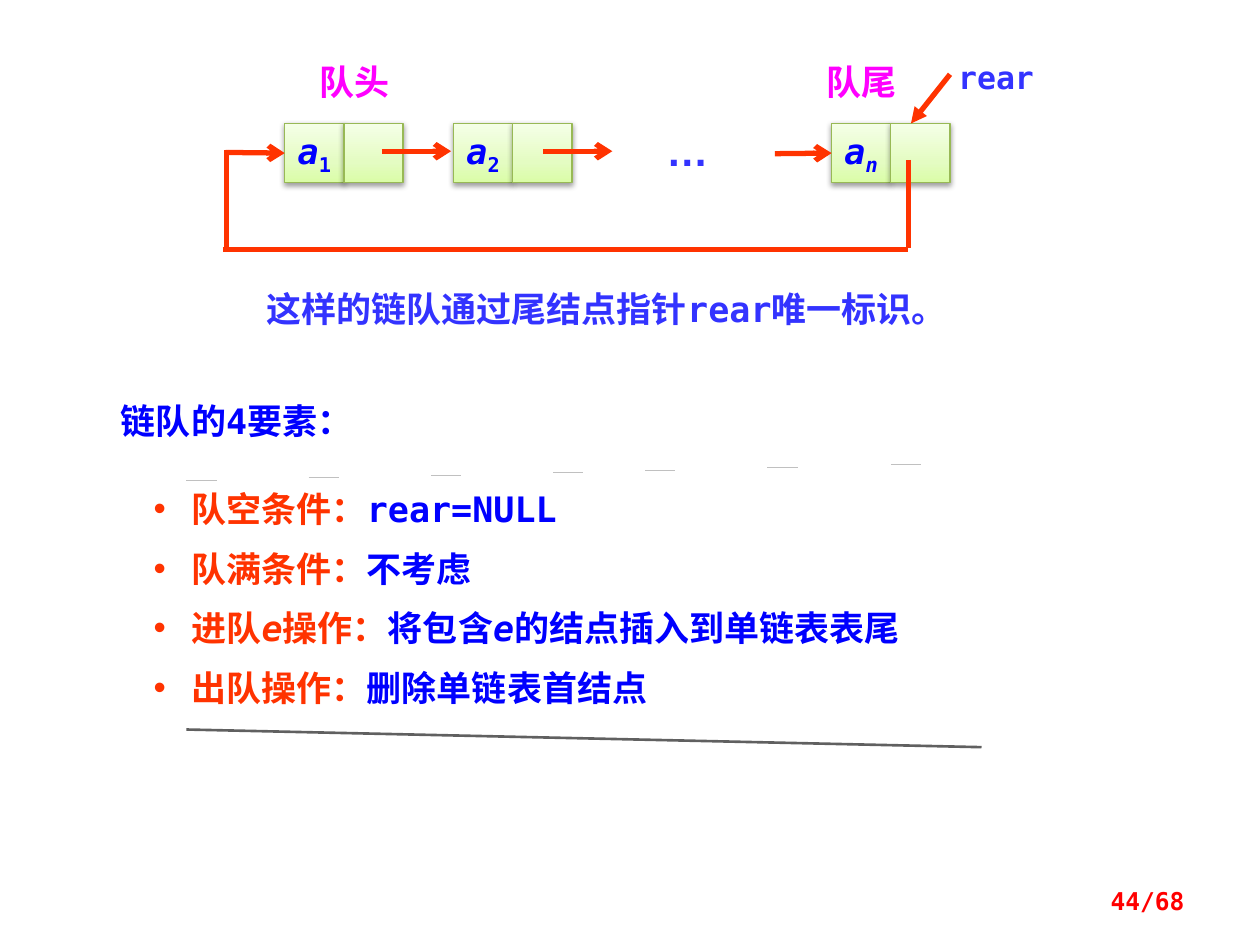
import copy
from dataclasses import dataclass

from lxml import etree
from pptx import Presentation
from pptx import util as u
from pptx.dml.color import RGBColor
from pptx.enum import shapes, text
from pptx.oxml import parse_xml
from pptx.oxml.ns import nsdecls, qn

MONO, CJK = "DejaVu Sans Mono", "Noto Sans CJK SC"
BLUE, VIOLET, RED, MAGENTA = "0000FF", "3333FF", "FF3300", "FF00FF"
CELL = 0.47
CELL_TOP = 0.98
ALIGN, ANCHOR = text.PP_ALIGN, text.MSO_ANCHOR


@dataclass
class Run:
    text: str
    color: str = BLUE
    italic: bool = False
    subscript: bool = False
    size: float = 20
    font: str = MONO


@dataclass
class Label:
    box: tuple[float, float, float, float]
    run: Run
    align: ALIGN = ALIGN.CENTER
    anchor: ANCHOR = ANCHOR.TOP


@dataclass
class Line:
    start: tuple[float, float]
    end: tuple[float, float]
    head: str = ""
    color: str = RED
    width: float = 3
    target: int | None = None  # index of the node whose left side it meets


LABELS = [
    Label((7.47, 0.41, 0.87, 0.4), Run("rear", VIOLET, size=18)),
    Label((5.02, 0.94, 0.87, 0.5), Run("…", VIOLET, size=24, font="Arial")),
    Label((2.34, 0.43, 0.95, 0.44), Run("队头", MAGENTA, font=CJK)),
    Label((6.36, 0.43, 0.95, 0.44), Run("队尾", MAGENTA, font=CJK)),
    Label((1.27, 2.23, 7.09, 0.44), Run("这样的链队通过尾结点指针rear唯一标识。", VIOLET)),
    Label((7.17, 6.95, 2.33, 0.4), Run("44/68", "FF0000", size=14), ALIGN.RIGHT, ANCHOR.MIDDLE),
]
NODES = [
    (2.26, Run("1", subscript=True)),
    (3.6, Run("2", subscript=True)),
    (6.6, Run("n", italic=True, subscript=True)),
]
LINKS = [
    Line((6.15, 1.22), (6.6, 1.22), "arrow", target=2),
    Line((3.03, 1.2), (3.58, 1.2), "arrow"),
    Line((4.31, 1.2), (4.86, 1.2), "arrow"),
    Line((7.21, 1.27), (7.21, 1.97)),
    Line((1.77, 1.98), (7.21, 1.98)),
    Line((1.8, 1.19), (1.8, 1.99)),
    Line((1.79, 1.21), (2.26, 1.21), "arrow", target=0),
    Line((7.54, 0.59), (7.23, 0.98), "triangle"),
]
BULLETS = [
    [Run("队空条件：", RED), Run("rear=NULL")],
    [Run("队满条件：", RED), Run("不考虑")],
    [Run("进队", RED), Run("e", RED, italic=True), Run("操作：", RED),
     Run("将包含"), Run("e", italic=True), Run("的结点插入到单链表表尾")],
    [Run("出队操作：", RED), Run("删除单链表首结点")],
]


def rgb(value: str) -> RGBColor:
    return RGBColor.from_string(value)


def place(shape, box: tuple[float, float, float, float]) -> None:
    shape.left, shape.top, shape.width, shape.height = map(u.Inches, box)


def write(paragraph, runs: list[Run]) -> None:
    for item in runs:
        run = paragraph.add_run()
        run.text = item.text
        font = run.font
        font.name, font.size = item.font, u.Pt(item.size)
        font.bold, font.italic = True, item.italic
        font.color.rgb = rgb(item.color)
        properties = run._r.get_or_add_rPr()
        if item.subscript:
            properties.set("baseline", "-25000")
        east_asian = etree.SubElement(properties, qn("a:ea"))
        east_asian.set("typeface", MONO)


def add_label(slide, label: Label) -> None:
    shape = slide.shapes.add_textbox(*map(u.Inches, label.box))
    frame = shape.text_frame
    frame.word_wrap = True
    frame.vertical_anchor = label.anchor
    frame.paragraphs[0].alignment = label.align
    write(frame.paragraphs[0], [label.run])


def add_cell(slide, left: float, runs: list[Run]):
    """Draw one green gradient cell with a soft shadow below it."""
    shape = slide.shapes.add_shape(
        shapes.MSO_SHAPE.RECTANGLE, *map(u.Inches, (left, CELL_TOP, CELL, CELL)))
    fill = shape.fill
    fill.gradient()
    fill.gradient_angle = 90
    first = shape._element.spPr.find(".//" + qn("a:gs"))
    first.addnext(copy.deepcopy(first))
    stops = [(0, "DAFDA7"), (0.35, "E4FCC2"), (1, "F5FFE7")]
    for stop, (position, color) in zip(fill.gradient_stops, stops):
        stop.position, stop.color.rgb = position, rgb(color)
    shape.line.color.rgb = rgb("98B955")
    shape.line.width = u.Pt(0.75)
    shape._element.spPr.append(parse_xml(
        f'<a:effectLst {nsdecls("a")}><a:outerShdw blurRad="40000" dist="20000" '
        'dir="5400000" rotWithShape="0"><a:srgbClr val="000000"><a:alpha val="38000"/>'
        '</a:srgbClr></a:outerShdw></a:effectLst>'))
    frame = shape.text_frame
    frame.word_wrap = False
    frame.vertical_anchor = ANCHOR.MIDDLE
    frame.paragraphs[0].alignment = ALIGN.CENTER
    write(frame.paragraphs[0], runs)
    return shape


def add_line(slide, line: Line, nodes: list) -> None:
    connector = slide.shapes.add_connector(
        shapes.MSO_CONNECTOR.STRAIGHT, *map(u.Inches, line.start + line.end))
    connector.line.color.rgb = rgb(line.color)
    connector.line.width = u.Pt(line.width)
    if line.head:
        tail = etree.SubElement(connector.line._get_or_add_ln(), qn("a:tailEnd"))
        tail.set("type", line.head)
    etree.SubElement(connector._element.spPr, qn("a:effectLst"))
    if line.target is not None:
        connector.end_connect(nodes[line.target], 1)


def fill_title(title) -> None:
    place(title, (0.86, 3.12, 2.85, 0.44))
    frame = title.text_frame
    frame.auto_size = text.MSO_AUTO_SIZE.NONE
    frame.vertical_anchor = ANCHOR.TOP
    frame.paragraphs[0].alignment = ALIGN.LEFT
    write(frame.paragraphs[0], [Run("链队的4要素：")])


def fill_body(body) -> None:
    place(body, (1.06, 3.75, 6.67, 2.09))
    frame = body.text_frame
    frame.auto_size = text.MSO_AUTO_SIZE.NONE
    frame.margin_left = frame.margin_right = u.Inches(0.16)
    frame.margin_top = frame.margin_bottom = u.Inches(0.12)
    for index, runs in enumerate(BULLETS):
        paragraph = frame.add_paragraph() if index else frame.paragraphs[0]
        paragraph.space_before = u.Pt(10 if index else 0)
        properties = paragraph._p.get_or_add_pPr()
        properties.set("marL", str(u.Inches(0.3)))
        properties.set("indent", str(-u.Inches(0.3)))
        etree.SubElement(properties, qn("a:buChar")).set("char", "•")
        write(paragraph, runs)


def main() -> None:
    presentation = Presentation()
    presentation.slide_width, presentation.slide_height = u.Inches(10), u.Inches(7.5)
    slide = presentation.slides.add_slide(presentation.slide_layouts[1])
    fill_title(slide.shapes.title)
    fill_body(slide.placeholders[1])

    nodes = []
    for left, subscript in NODES:
        nodes.append(add_cell(slide, left, [Run("a", italic=True), subscript]))
        add_cell(slide, left + CELL, [])
    edges = [Line((1.48, 5.79), (7.79, 5.93), color="606060", width=1.5)]
    for index, left in enumerate((1.48, 2.45, 3.42, 4.39, 5.12, 6.09, 7.07)):
        top = 3.81 - 0.02 * index
        edges.append(Line((left, top), (left + 0.24, top), color="C0C0C0", width=0.5))
    for line in LINKS + edges:
        add_line(slide, line, nodes)
    for label in LABELS:
        add_label(slide, label)
    presentation.save("out.pptx")


if __name__ == "__main__":
    main()
